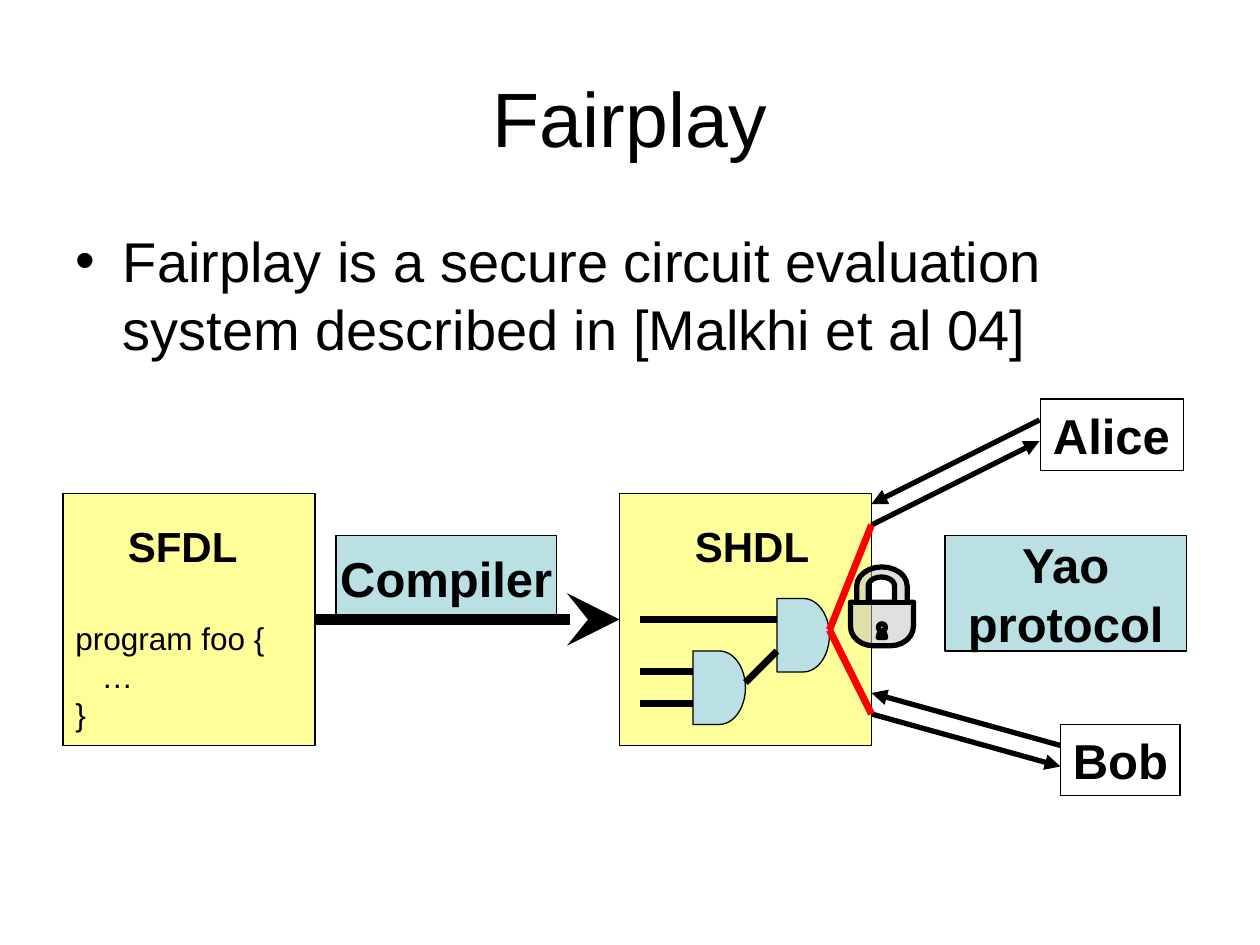
"""Build the Fairplay slide on a grid of 120 columns by 90 rows."""
from dataclasses import dataclass
from math import cos, radians, sin
from typing import Optional

from lxml import etree
from pptx import Presentation
from pptx import util as u
from pptx.dml.color import RGBColor
from pptx.enum import shapes, text
from pptx.oxml.ns import qn

COLS, ROWS = 120, 90
WIDTH, HEIGHT = u.Inches(10), u.Inches(7.5)
BLACK = RGBColor(0x00, 0x00, 0x00)
RED = RGBColor(0xFF, 0x00, 0x00)
YELLOW = RGBColor(0xFF, 0xFF, 0x99)
TEAL = RGBColor(0xBB, 0xE0, 0xE3)
SILVER = RGBColor(0xC0, 0xC0, 0xC0)
FONT = "Arial"
RECT = shapes.MSO_SHAPE.RECTANGLE
GATE = shapes.MSO_SHAPE.FLOWCHART_DELAY
MIDDLE, BOTTOM = text.MSO_ANCHOR.MIDDLE, text.MSO_ANCHOR.BOTTOM
LEFT, CENTER = text.PP_ALIGN.LEFT, text.PP_ALIGN.CENTER


@dataclass
class Box:
    col: float
    row: float
    cols: float
    rows: float
    fill: Optional[RGBColor] = None
    kind: shapes.MSO_SHAPE = RECT
    lines: tuple = ()
    size: float = 28
    bold: bool = True
    align: text.PP_ALIGN = CENTER
    anchor: text.MSO_ANCHOR = MIDDLE


@dataclass
class Wire:
    start: tuple
    end: tuple
    width: float = 4
    color: RGBColor = BLACK
    head: str = ""
    head_size: str = "med"


def x(col: float) -> int:
    return round(WIDTH * col / COLS)


def y(row: float) -> int:
    return round(HEIGHT * row / ROWS)


def place(sp, col: float, row: float, cols: float, rows: float) -> None:
    sp.left, sp.top, sp.width, sp.height = x(col), y(row), x(cols), y(rows)


def write(tf, lines: tuple, size: float, bold: bool, align: text.PP_ALIGN) -> None:
    for i, line in enumerate(lines):
        p = tf.add_paragraph() if i else tf.paragraphs[0]
        p.alignment = align
        p.space_before = u.Pt(0)
        r = p.add_run()
        r.text = line
        r.font.name, r.font.size, r.font.bold = FONT, u.Pt(size), bold
        r.font.color.rgb = BLACK


def fill_placeholder(sp, row: float, content: str, size: float, align, anchor) -> None:
    place(sp, 6, row, 108, 15)
    tf = sp.text_frame
    tf.auto_size = text.MSO_AUTO_SIZE.NONE
    tf.vertical_anchor = anchor
    write(tf, (content,), size, False, align)


def add_box(s, box: Box):
    sp = s.shapes.add_shape(box.kind, x(box.col), y(box.row), x(box.cols), y(box.rows))
    sp.shadow.inherit = False
    if box.fill is None:
        sp.fill.background()
    else:
        sp.fill.solid()
        sp.fill.fore_color.rgb = box.fill
    sp.line.color.rgb, sp.line.width = BLACK, u.Pt(0.75)
    tf = sp.text_frame
    tf.word_wrap = False
    tf.vertical_anchor = box.anchor
    if box.anchor == BOTTOM:
        tf.margin_bottom = u.Inches(0.1)
    write(tf, box.lines, box.size, box.bold, box.align)
    return sp


def add_label(s, col: float, row: float, cols: float, content: str) -> None:
    tf = s.shapes.add_textbox(x(col), y(row), x(cols), y(6)).text_frame
    tf.word_wrap = False
    tf.auto_size = text.MSO_AUTO_SIZE.SHAPE_TO_FIT_TEXT
    write(tf, (content,), 24, True, LEFT)


def add_wire(s, wire: Wire):
    (c0, r0), (c1, r1) = wire.start, wire.end
    sp = s.shapes.add_connector(shapes.MSO_CONNECTOR.STRAIGHT, x(c0), y(r0), x(c1), y(r1))
    sp.line.color.rgb, sp.line.width = wire.color, u.Pt(wire.width)
    if wire.head:
        etree.SubElement(sp.line._get_or_add_ln(), qn("a:tailEnd"), type=wire.head,
                         w=wire.head_size, len=wire.head_size)
    etree.SubElement(sp._element.spPr, qn("a:effectLst"))
    return sp


def arc(cx: float, cy: float, rx: float, ry: float, start: int, stop: int) -> list:
    return [(cx + rx * cos(radians(a)), cy + ry * sin(radians(a)))
            for a in range(start, stop + 1, 15)]


def add_padlock(s, col: float, row: float) -> None:
    body = [(0, 3.36), (0.6, 3.36), *arc(3, 1.8, 2.4, 1.8, 180, 360), (5.4, 3.36), (6, 3.36),
            *arc(3.84, 5.64, 2.16, 1.86, 0, 90), *arc(2.16, 5.64, 2.16, 1.86, 90, 180)]
    opening = [(1.7, 3.36), *arc(2.95, 1.8, 1.25, 0.84, 180, 360), (4.2, 3.36)]
    seam = [(0, 3.36), (6, 3.36)]
    keyhole = [*arc(3, 5.75, 0.33, 0.33, 120, 420), (3.36, 6.72), (2.64, 6.72)]
    contours = [[(x(col + c), y(row + r)) for c, r in points]
                for points in (body, opening, seam, keyhole)]
    fb = s.shapes.build_freeform(*contours[0][0])
    for i, points in enumerate(contours):
        if i:
            fb.move_to(*points[0])
        fb.add_line_segments(points[1:], close=True)
    sp = fb.convert_to_shape()
    sp.shadow.inherit = False
    sp.fill.solid()
    sp.fill.fore_color.rgb = SILVER
    color = sp._element.spPr.find(qn("a:solidFill"))[0]
    etree.SubElement(color, qn("a:alpha"), val="49000")
    sp.line.color.rgb, sp.line.width = BLACK, u.Pt(3)


def main() -> None:
    prs = Presentation()
    prs.slide_width, prs.slide_height = WIDTH, HEIGHT
    s = prs.slides.add_slide(prs.slide_layouts[1])
    fill_placeholder(s.shapes.title, 3.6, "Fairplay", 44, CENTER, MIDDLE)
    fill_placeholder(s.placeholders[1], 21, "Fairplay is a secure circuit evaluation system "
                     "described in [Malkhi et al 04]", 32, LEFT, text.MSO_ANCHOR.TOP)

    add_box(s, Box(32, 51, 21, 8, TEAL, lines=("Compiler",)))
    sfdl = add_box(s, Box(6, 47, 24, 24, YELLOW, lines=("program foo {", "   …", "}"),
                          size=18, bold=False, align=LEFT, anchor=BOTTOM))
    add_label(s, 11, 49, 12.9, "SFDL")
    shdl = add_box(s, Box(59, 47, 24, 24, YELLOW))
    add_label(s, 65, 49, 13.3, "SHDL")
    compile_arrow = add_wire(s, Wire((30, 59), (59, 59), 6, head="stealth", head_size="lg"))
    compile_arrow.begin_connect(sfdl, 3)
    compile_arrow.end_connect(shdl, 1)

    for col, row in ((66, 62), (74, 57)):
        add_box(s, Box(col, row, 5, 7, TEAL, GATE))
    for box in (Box(99.1, 38, 13.6, 6.8, lines=("Alice",), align=LEFT),
                Box(101, 69, 11.4, 6.8, lines=("Bob",), align=LEFT),
                Box(90, 51, 23, 11, TEAL, lines=("Yao", "protocol"))):
        add_box(s, box)

    for start, end in (((66, 64), (61, 64)), ((66, 67), (61, 67)),
                       ((74, 62), (71, 65)), ((74, 59), (61, 59))):
        add_wire(s, Wire(start, end))
    for start, end in (((101, 71), (83, 66)), ((83, 68), (101, 73)),
                       ((99, 40), (83, 48)), ((83, 50), (99, 42))):
        add_wire(s, Wire(start, end, 3, head="triangle"))
    add_wire(s, Wire((83, 50), (79, 60), color=RED))
    add_padlock(s, 81, 54)
    add_wire(s, Wire((83, 68), (79, 60), color=RED))
    prs.save("out.pptx")


if __name__ == "__main__":
    main()
